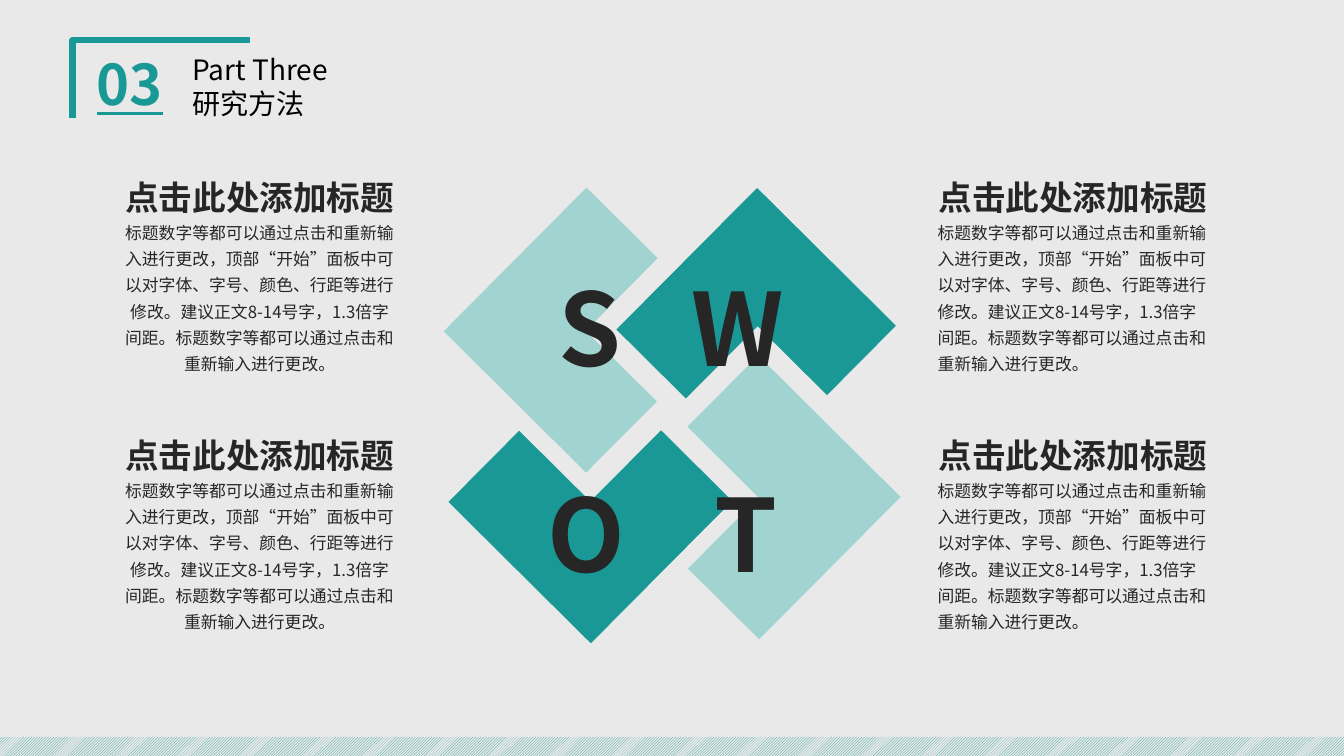
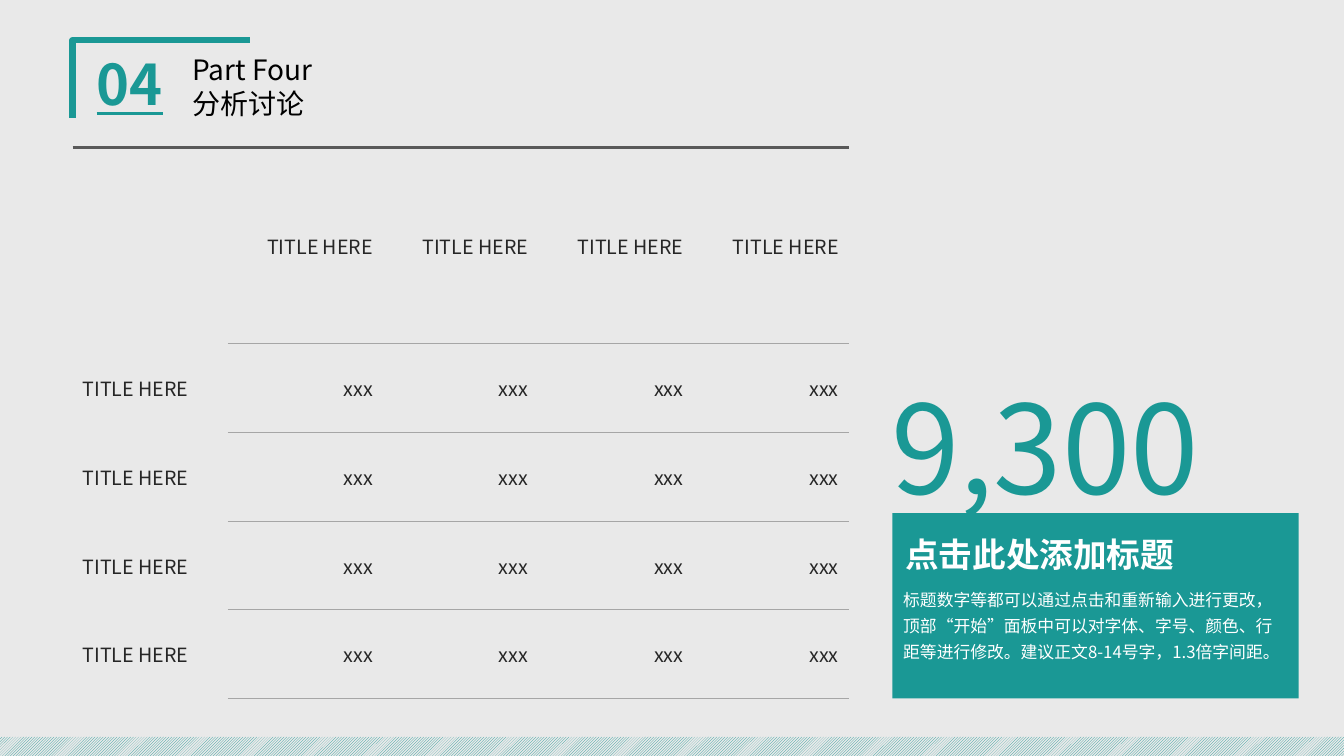
from lxml import etree
from pptx import Presentation
from pptx.dml.color import RGBColor
from pptx.enum.dml import MSO_PATTERN
from pptx.enum.shapes import MSO_SHAPE
from pptx.enum.text import MSO_ANCHOR, MSO_AUTO_SIZE, PP_ALIGN
from pptx.oxml.ns import qn
from pptx.util import Pt

PX = 9144  # one px is a hundredth of an inch
FONT = "Noto Sans CJK SC"
TEAL, PALE, PAPER = "1A9895", "A1D3D0", "E9E9E9"
INK, RULE, RULE_DARK = "262626", "A6A6A6", "595959"
BLACK, WHITE = "000000", "FFFFFF"
LEFT, CENTER, RIGHT = PP_ALIGN.LEFT, PP_ALIGN.CENTER, PP_ALIGN.RIGHT
TOP, MIDDLE = MSO_ANCHOR.TOP, MSO_ANCHOR.MIDDLE
FIT = MSO_AUTO_SIZE.SHAPE_TO_FIT_TEXT
RECTANGLE, CORNER = MSO_SHAPE.RECTANGLE, MSO_SHAPE.CORNER
DIAGONAL = MSO_PATTERN.LIGHT_UPWARD_DIAGONAL
NO_TABLE_STYLE = "{2D5ABB26-0587-4C30-8999-92F81FD0307C}"

# Font formats
NUMBER = {"size": Pt(40), "bold": True, "underline": True}
TITLE = {"size": Pt(20)}
LETTER = {"size": Pt(72), "bold": True}
HEADING = {"size": Pt(24), "bold": True}
BODY = {"size": Pt(12)}
CELL = {"size": Pt(14)}
FIGURE = {"size": Pt(88)}

HEADING_TEXT = "点击此处添加标题"
SHORT_TEXT = ("标题数字等都可以通过点击和重新输入进行更改，顶部“开始”面板中可以对字体、"
              "字号、颜色、行距等进行修改。建议正文8-14号字，1.3倍字间距。")
LONG_TEXT = SHORT_TEXT + "标题数字等都可以通过点击和重新输入进行更改。"


def rgb(value):
    return RGBColor.from_string(value)


def write_text(frame, text, font_format, color, align=LEFT, spacing=None):
    frame.text = text
    for paragraph in frame.paragraphs:
        paragraph.alignment = align
        paragraph.line_spacing = spacing
        for run in paragraph.runs:
            run.font.name = FONT
            run.font.color.rgb = rgb(color)
            for name, value in font_format.items():
                setattr(run.font, name, value)
            properties = run._r.get_or_add_rPr()
            properties.set("lang", "zh-CN")
            east_asian = etree.Element(qn("a:ea"), typeface=FONT)
            properties.find(qn("a:latin")).addnext(east_asian)


presentation = Presentation()
presentation.slide_width, presentation.slide_height = 1333 * PX, 750 * PX
layout = presentation.slide_layouts[5]
swot, results = [presentation.slides.add_slide(layout) for _ in range(2)]

# Shared layout: background, title place, corner bracket, hatched band
background = presentation.slide_master.background.fill
background.solid()
background.fore_color.rgb = rgb(PAPER)
for placeholder in list(layout.placeholders)[1:]:
    placeholder._element.getparent().remove(placeholder._element)
layout_title = layout.placeholders[0]
for name, value in {"left": 181, "top": 47, "width": 240, "height": 77}.items():
    setattr(layout_title, name, value * PX)

builder = swot.shapes.build_freeform(72, 117, scale=PX)
builder.add_line_segments([(72, 40), (248, 40)], close=False)
bracket = builder.convert_to_shape()
bracket.fill.background()
bracket.line.color.rgb = rgb(TEAL)
bracket.line.width = Pt(4.5)
band = swot.shapes.add_shape(RECTANGLE, -3 * PX, 731 * PX, 1336 * PX, 22 * PX)
band.fill.patterned()
band.fill.pattern = DIAGONAL
band.fill.fore_color.rgb = rgb(TEAL)
band.fill.back_color.rgb = rgb(PAPER)
band.line.fill.background()
for shape in (bracket, band):
    shape.shadow.inherit = False
    layout.shapes._spTree.append(shape._element)

# Titles
for slide, title in ((swot, "Part Three\n研究方法"), (results, "Part Four\n分析讨论")):
    frame = slide.shapes.title.text_frame
    frame.vertical_anchor = TOP
    frame.auto_size = FIT
    write_text(frame, title, TITLE, BLACK)

# Filled shapes: the four turned SWOT corners and the result panel
blocks = [(swot, CORNER, 482, 227, 199, 201, 44.8, PALE),
          (swot, CORNER, 651, 228, 198, 194, 134.8, TEAL),
          (swot, CORNER, 653, 394, 199, 199, 224.8, PALE),
          (swot, CORNER, 486, 398, 199, 199, 314.8, TEAL),
          (results, RECTANGLE, 885, 509, 403, 184, 0, TEAL)]
for slide, kind, left, top, width, height, angle, color in blocks:
    shape = slide.shapes.add_shape(kind, left * PX, top * PX, width * PX, height * PX)
    shape.rotation = angle
    shape.shadow.inherit = False
    shape.fill.solid()
    shape.fill.fore_color.rgb = rgb(color)
    shape.line.fill.background()

# Text boxes: slide, place, wrap, then the text and its format
boxes = [(swot, 86, 44, 95, 77, True, "03", NUMBER, TEAL),
         (results, 86, 44, 95, 77, True, "04", NUMBER, TEAL),
         (swot, 544, 259, 81, 131, False, "S", LETTER, INK),
         (swot, 676, 259, 129, 131, False, "W", LETTER, INK),
         (swot, 533, 463, 103, 131, False, "O", LETTER, INK),
         (swot, 699, 463, 83, 131, False, "T", LETTER, INK)]
for left, align in ((112, CENTER), (920, LEFT)):
    for top in (171, 427):
        boxes += [(swot, left + 1, top, 289, 50, False, HEADING_TEXT, HEADING, INK, align),
                  (swot, left, top + 39, 291, 168, True, LONG_TEXT, BODY, INK, align, 1.3)]
boxes += [(results, 888, 525, 289, 50, False, HEADING_TEXT, HEADING, WHITE),
          (results, 886, 574, 388, 89, True, SHORT_TEXT, BODY, WHITE, LEFT, 1.3),
          (results, 874, 363, 498, 158, True, "9,300", FIGURE, TEAL)]
for slide, left, top, width, height, wrap, *content in boxes:
    box = slide.shapes.add_textbox(left * PX, top * PX, width * PX, height * PX)
    box.text_frame.word_wrap = wrap
    box.text_frame.auto_size = FIT
    write_text(box.text_frame, *content)

# Results table: rules between rows only, none under the row titles
rows = [[""] + ["TITLE HERE"] * 4] + [["TITLE HERE"] + ["xxx"] * 4] * 4
table = results.shapes.add_table(5, 5, 72 * PX, 146 * PX, 770 * PX, 547 * PX).table
table.first_row = table.horz_banding = False
table._tbl.tblPr.find(qn("a:tableStyleId")).text = NO_TABLE_STYLE
for column in table.columns:
    column.width = 154 * PX
for row_index, texts in enumerate(rows):
    table.rows[row_index].height = (88 if row_index else 195) * PX
    for column_index, text in enumerate(texts):
        cell = table.cell(row_index, column_index)
        cell.vertical_anchor = MIDDLE
        write_text(cell.text_frame, text, CELL, INK, RIGHT if column_index else LEFT)
        borders = {}
        if row_index == 0:
            borders["a:lnT"] = (RULE_DARK, 2.25)
        elif column_index:
            borders["a:lnT"] = (RULE, 1)
        if column_index:
            borders["a:lnB"] = (RULE, 1)
        for tag, (color, width) in borders.items():
            line = etree.SubElement(cell._tc.get_or_add_tcPr(), qn(tag), w=str(Pt(width)))
            fill = etree.SubElement(line, qn("a:solidFill"))
            etree.SubElement(fill, qn("a:srgbClr"), val=color)
        cell.fill.background()

presentation.save("out.pptx")
